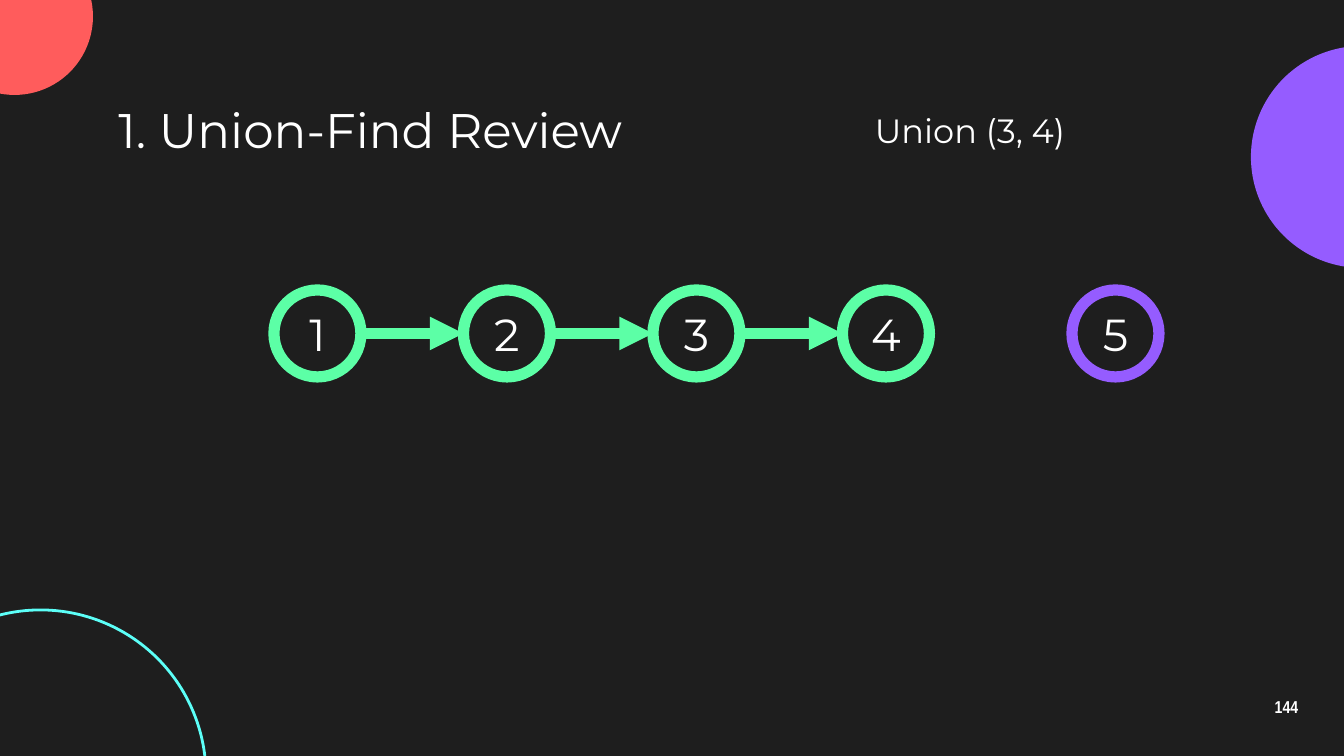
from dataclasses import dataclass

from lxml.etree import SubElement
from pptx import Presentation
from pptx.dml.color import RGBColor
from pptx.enum.shapes import MSO_CONNECTOR, MSO_SHAPE
from pptx.enum.text import MSO_ANCHOR, MSO_AUTO_SIZE, PP_ALIGN
from pptx.oxml.ns import qn
from pptx.util import Emu, Inches, Pt


@dataclass(frozen=True)
class Theme:
    back: str = "1E1E1E"
    text: str = "FFFFFF"
    green: str = "5CFFA6"
    purple: str = "955CFF"
    red: str = "FF5C5C"
    cyan: str = "5CFFF8"
    font: str = "Montserrat"
    narrow: str = "Arial Narrow"
    title: float = 26
    node: float = 24
    label: float = 18
    number: float = 9.2
    thick: float = 6
    thin: float = 1.5


THEME = Theme()
SCALE = 914400 / 134.4
SIZE = 87  # node diameter
TOP = 290  # top of the node row
FIRST, STEP = 274, 189.5


def px(count):
    return Emu(round(count * SCALE))


def color(code):
    return RGBColor.from_string(code)


def write(shape, text, size, align=PP_ALIGN.CENTER, anchor=MSO_ANCHOR.MIDDLE,
          inset=0.1, face=THEME.font, bold=False):
    frame = shape.text_frame
    frame.text = text
    frame.word_wrap = True
    frame.auto_size = MSO_AUTO_SIZE.NONE
    frame.vertical_anchor = anchor
    frame.margin_left = frame.margin_right = Inches(inset)
    frame.margin_top = frame.margin_bottom = Inches(inset)
    para = frame.paragraphs[0]
    para.alignment = align
    font = para.runs[0].font
    font.name, font.size, font.bold = face, Pt(size), bold
    font.color.rgb = color(THEME.text)
    return para


def add_text(slide, box, text, size, **style):
    return write(slide.shapes.add_textbox(*map(px, box)), text, size, **style)


def add_disc(slide, left, top, size, fill=None, line=None, width=0):
    disc = slide.shapes.add_shape(
        MSO_SHAPE.OVAL, px(left), px(top), px(size), px(size))
    disc.shadow.inherit = False
    if fill:
        disc.fill.solid()
        disc.fill.fore_color.rgb = color(fill)
    else:
        disc.fill.background()
    if line:
        disc.line.color.rgb = color(line)
        disc.line.width = Pt(width)
    else:
        disc.line.fill.background()
    return disc


def add_node(slide, left, text, line):
    node = add_disc(slide, left, TOP, SIZE, line=line, width=THEME.thick)
    write(node, text, THEME.node, inset=0)


def add_arrow(slide, start, end):
    mid = px(TOP + SIZE / 2)
    arrow = slide.shapes.add_connector(
        MSO_CONNECTOR.STRAIGHT, px(start), mid, px(end), mid)
    arrow.line.color.rgb = color(THEME.green)
    arrow.line.width = Pt(THEME.thick)
    SubElement(arrow.line._get_or_add_ln(), qn("a:tailEnd"), type="triangle")
    SubElement(arrow._element.spPr, qn("a:effectLst"))


def add_title(slide, box, text):
    title = slide.shapes.title
    title.left, title.top, title.width, title.height = map(px, box)
    write(title, text, THEME.title, align=PP_ALIGN.LEFT)


def main():
    deck = Presentation()
    deck.slide_width, deck.slide_height = px(1344), px(756)
    slide = deck.slides.add_slide(deck.slide_layouts[5])
    slide.background.fill.solid()
    slide.background.fill.fore_color.rgb = color(THEME.back)

    # Corner circles
    add_disc(slide, 1251, 46, 222, fill=THEME.purple)
    add_disc(slide, -64, -62, 157, fill=THEME.red)
    add_disc(slide, -125, 610, 331, line=THEME.cyan, width=THEME.thin)

    # Title, operation and page number
    add_title(slide, (105, 95, 1134, 69), "1. Union-Find Review")
    add_text(slide, (829, 97, 282, 69), "Union (3, 4)", THEME.label,
             anchor=MSO_ANCHOR.TOP)
    page = add_text(slide, (1246, 685, 81, 46), "144", THEME.number,
                    face=THEME.narrow, bold=True)
    page.line_spacing = 0.9

    # Joined set, then the lone node
    spots = [FIRST + STEP * i for i in range(4)]
    for number, left in enumerate(spots, 1):
        add_node(slide, left, str(number), THEME.green)
    add_node(slide, 1072, "5", THEME.purple)

    # Links between neighbours
    for left, right in zip(spots, spots[1:]):
        add_arrow(slide, left + SIZE, right)

    deck.save("out.pptx")


if __name__ == "__main__":
    main()
